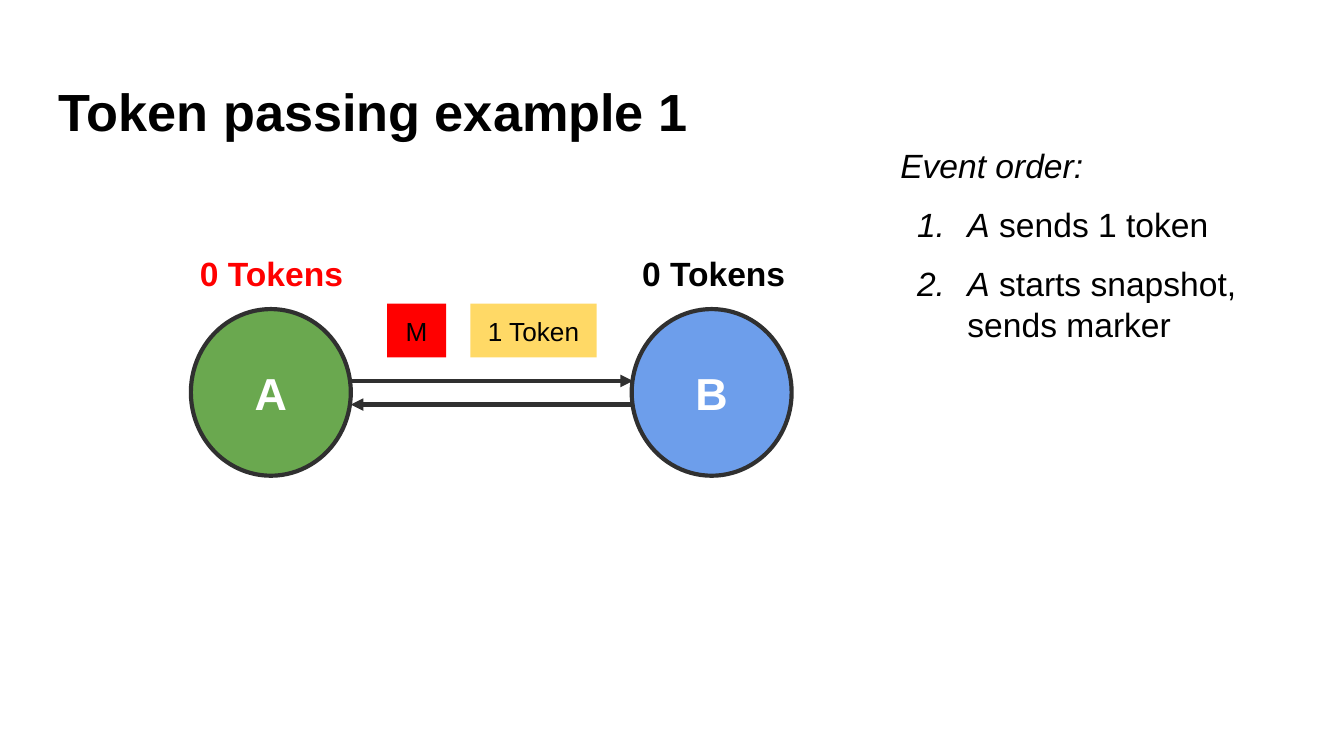
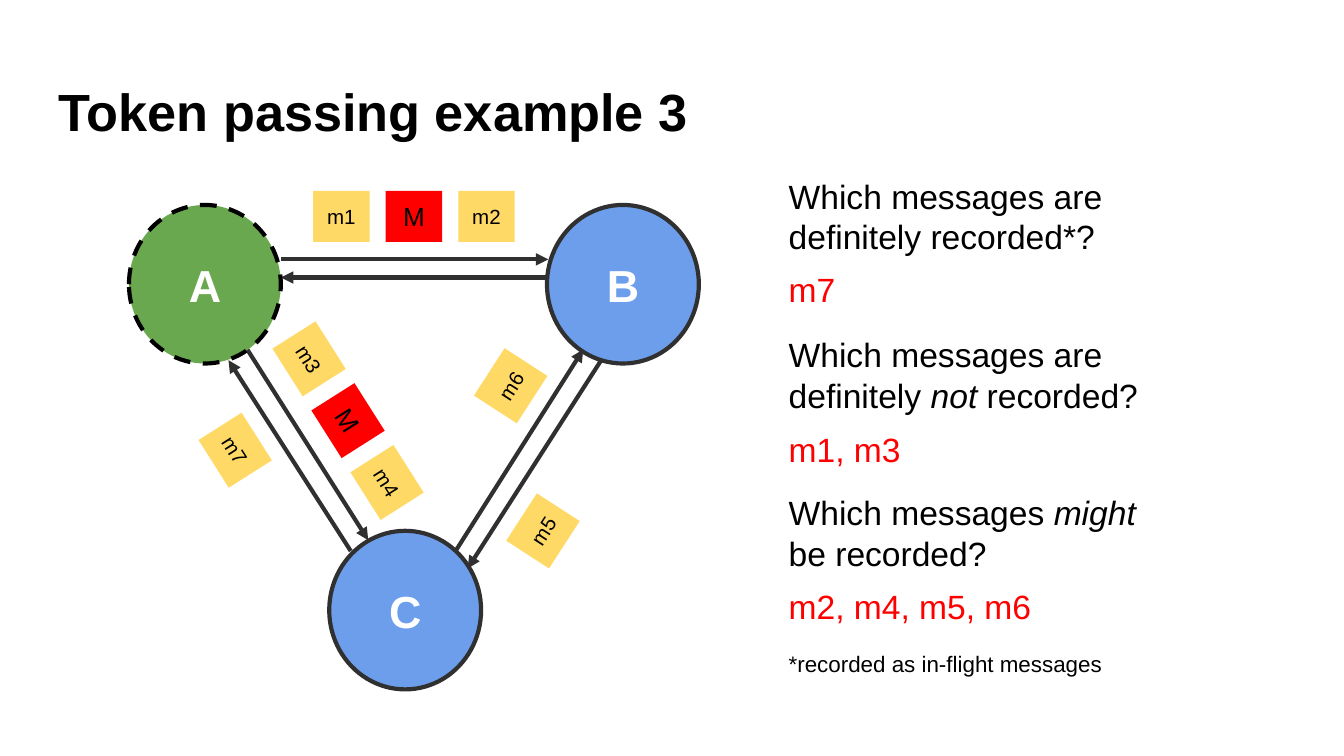
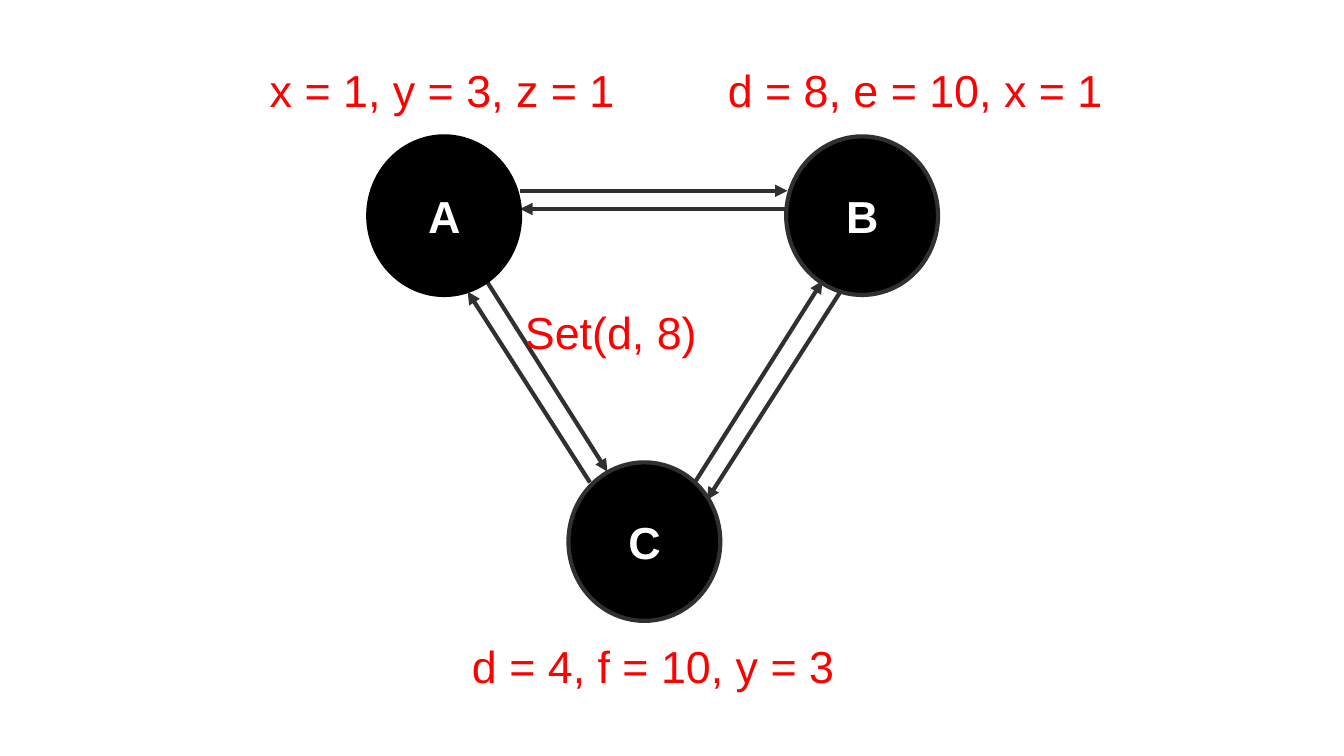
from lxml import etree
from pptx import Presentation
from pptx.dml.color import RGBColor
from pptx.enum.dml import MSO_LINE
from pptx.enum.shapes import MSO_CONNECTOR, MSO_SHAPE
from pptx.enum.text import MSO_ANCHOR, PP_ALIGN
from pptx.oxml.ns import qn
from pptx.util import Pt

PX = 4572
FONT = "Arial"
BLACK = RGBColor(0x00, 0x00, 0x00)
WHITE = RGBColor(0xFF, 0xFF, 0xFF)
RED = RGBColor(0xFF, 0x00, 0x00)
GREEN = RGBColor(0x6A, 0xA8, 0x4F)
BLUE = RGBColor(0x6D, 0x9E, 0xEB)
YELLOW = RGBColor(0xFF, 0xD9, 0x66)
DARK = RGBColor(0x30, 0x30, 0x30)
LEFT, CENTER = PP_ALIGN.LEFT, PP_ALIGN.CENTER
TOP, MIDDLE = MSO_ANCHOR.TOP, MSO_ANCHOR.MIDDLE
OVAL, RECT = MSO_SHAPE.OVAL, MSO_SHAPE.RECTANGLE
STRAIGHT = MSO_CONNECTOR.STRAIGHT
DASH = MSO_LINE.DASH


def px(*values):
    return [v * PX for v in values]


def write(sp, paragraphs, size, color, bold=False, align=CENTER, anchor=MIDDLE):
    tf = sp.text_frame
    tf.word_wrap = True
    tf.vertical_anchor = anchor
    tf.margin_left = tf.margin_right = tf.margin_top = tf.margin_bottom = 20 * PX
    for i, runs in enumerate(paragraphs):
        p = tf.add_paragraph() if i else tf.paragraphs[0]
        p.alignment = align
        for text, italic in runs:
            r = p.add_run()
            r.text = text
            r.font.name = FONT
            r.font.size = Pt(size)
            r.font.bold = bold
            r.font.italic = italic
            r.font.color.rgb = color
    return tf


prs = Presentation()
prs.slide_width, prs.slide_height = px(2000, 1125)
pair, messages, store = [prs.slides.add_slide(prs.slide_layouts[6]) for _ in range(3)]
store_group = store.shapes.add_group_shape()

pair_nodes = [("A", 284, 460, GREEN, DARK), ("B", 940, 460, BLUE, DARK)]
pair_arrows = [(942, 602, 522, 602), (522, 567, 942, 567)]
triangle = [("A", 192, 305), ("B", 814, 305), ("C", 490, 790)]
triangle_arrows = [
    (816, 413, 418, 413), (418, 386, 816, 386),
    (522, 820, 340, 536), (368, 520, 548, 804),
    (678, 820, 868, 520), (896, 534, 696, 846),
]
message_nodes = [n + c for n, c in zip(triangle, [(GREEN, BLACK), (BLUE, DARK), (BLUE, DARK)])]
store_nodes = [n + c for n, c in zip(triangle, [(BLACK, BLACK), (BLACK, DARK), (BLACK, DARK)])]

networks = [
    (pair.shapes, pair_nodes, pair_arrows, 0, 0, (238, 248), (188, 146)),
    (messages.shapes, message_nodes, triangle_arrows, 0, 0, (226, 236), (178, 138)),
    (store_group.shapes, store_nodes, triangle_arrows, 356, -102, (226, 236), (178, 138)),
]
for shapes, nodes, arrows, dx, dy, (node_w, node_h), (letter_w, letter_h) in networks:
    for x1, y1, x2, y2 in arrows:
        cn = shapes.add_connector(STRAIGHT, *px(x1 + dx, y1 + dy, x2 + dx, y2 + dy))
        cn.line.color.rgb = DARK
        cn.line.width = Pt(2.25)
        etree.SubElement(cn.line._get_or_add_ln(), qn("a:tailEnd"), type="triangle")
        etree.SubElement(cn._element.spPr, qn("a:effectLst"))
    for name, x, y, fill, outline in nodes:
        left, top = x + dx, y + dy
        sp = shapes.add_shape(OVAL, *px(left, top, node_w, node_h))
        sp.shadow.inherit = False
        sp.fill.solid()
        sp.fill.fore_color.rgb = fill
        sp.line.color.rgb = outline
        sp.line.width = Pt(2.25)
        if fill == GREEN and outline == BLACK:
            sp.line.dash_style = DASH
        left += (node_w - letter_w) // 2
        top += (node_h - letter_h) // 2
        sp = shapes.add_textbox(*px(left, top, letter_w, letter_h))
        write(sp, [[(name, False)]], 24, WHITE, bold=True)

for s, number in [(pair, 1), (messages, 3)]:
    sp = s.shapes.add_textbox(*px(68, 98, 1864, 126))
    write(sp, [[(f"Token passing example {number}", False)]], 28, BLACK, True, LEFT, TOP)

tiles = [
    (pair, "1 Token", 700, 452, 188, 80, 0),
    (pair, "M", 576, 452, 88, 80, 0),
    (messages, "m1", 466, 284, 84, 76, 0),
    (messages, "M", 574, 284, 84, 76, 0),
    (messages, "m2", 682, 284, 84, 76, 0),
    (messages, "m3", 418, 496, 84, 76, 57.6),
    (messages, "M", 476, 588, 84, 76, 57.6),
    (messages, "m4", 534, 680, 84, 76, 57.6),
    (messages, "m5", 766, 752, 84, 76, 302.9),
    (messages, "m6", 718, 536, 84, 76, 302.9),
    (messages, "m7", 308, 632, 84, 76, 57.6),
]
for s, text, x, y, w, h, angle in tiles:
    sp = s.shapes.add_shape(RECT, *px(x, y, w, h))
    sp.shadow.inherit = False
    sp.rotation = angle
    sp.fill.solid()
    sp.fill.fore_color.rgb = RED if text == "M" else YELLOW
    sp.line.fill.background()
    write(sp, [[(text, False)]], 11 if text.startswith("m") else 14, BLACK)

for x, color in [(212, RED), (870, BLACK)]:
    sp = pair.shapes.add_textbox(*px(x, 356, 384, 104))
    write(sp, [[("0 Tokens", False)]], 18, color, True, CENTER, TOP)

events = [
    [("Event order:", True)],
    [("A", True), (" sends 1 token", False)],
    [("A", True), (" starts snapshot, sends marker", False)],
]
sp = pair.shapes.add_textbox(*px(1320, 196, 598, 762))
tf = write(sp, events, 18, BLACK, False, LEFT, TOP)
for p in tf.paragraphs[1:]:
    p.space_before = Pt(10)
    pPr = p._p.get_or_add_pPr()
    pPr.set("marL", str(100 * PX))
    pPr.set("indent", str(-75 * PX))
    color = etree.SubElement(pPr, qn("a:buClr"))
    etree.SubElement(color, qn("a:srgbClr"), val=str(BLACK))
    etree.SubElement(pPr, qn("a:buFont"), typeface=FONT)
    etree.SubElement(pPr, qn("a:buAutoNum"), type="arabicPeriod")

questions = [
    [("Which messages are definitely recorded*?", False)],
    [("Which messages are definitely ", False), ("not ", True), ("recorded?", False)],
    [("Which messages ", False), ("might", True), (" be recorded?", False)],
    [("*recorded as in-flight messages", False)],
]
sp = messages.shapes.add_textbox(*px(1154, 242, 606, 802))
tf = write(sp, questions, 18, BLACK, False, LEFT, TOP)
for p in tf.paragraphs[1:]:
    p.space_before = Pt(41.5)
tf.paragraphs[-1].runs[0].font.size = Pt(12)

for answer, y in [("m7", 380), ("m1, m3", 618), ("m2, m4, m5, m6", 852)]:
    sp = messages.shapes.add_textbox(*px(1154, y, 606, 76))
    write(sp, [[(answer, False)]], 18, RED, False, LEFT, TOP)

values = [
    ("x = 1, y = 3, z = 1", 378, 64, 560),
    ("d = 8, e = 10, x = 1", 1062, 64, 600),
    ("d = 4, f = 10, y = 3", 620, 922, 704),
    ("Set(d, 8)", 738, 424, 342),
]
for text, x, y, w in values:
    sp = store.shapes.add_textbox(*px(x, y, w, 138))
    write(sp, [[(text, False)]], 24, RED)

prs.save("out.pptx")
